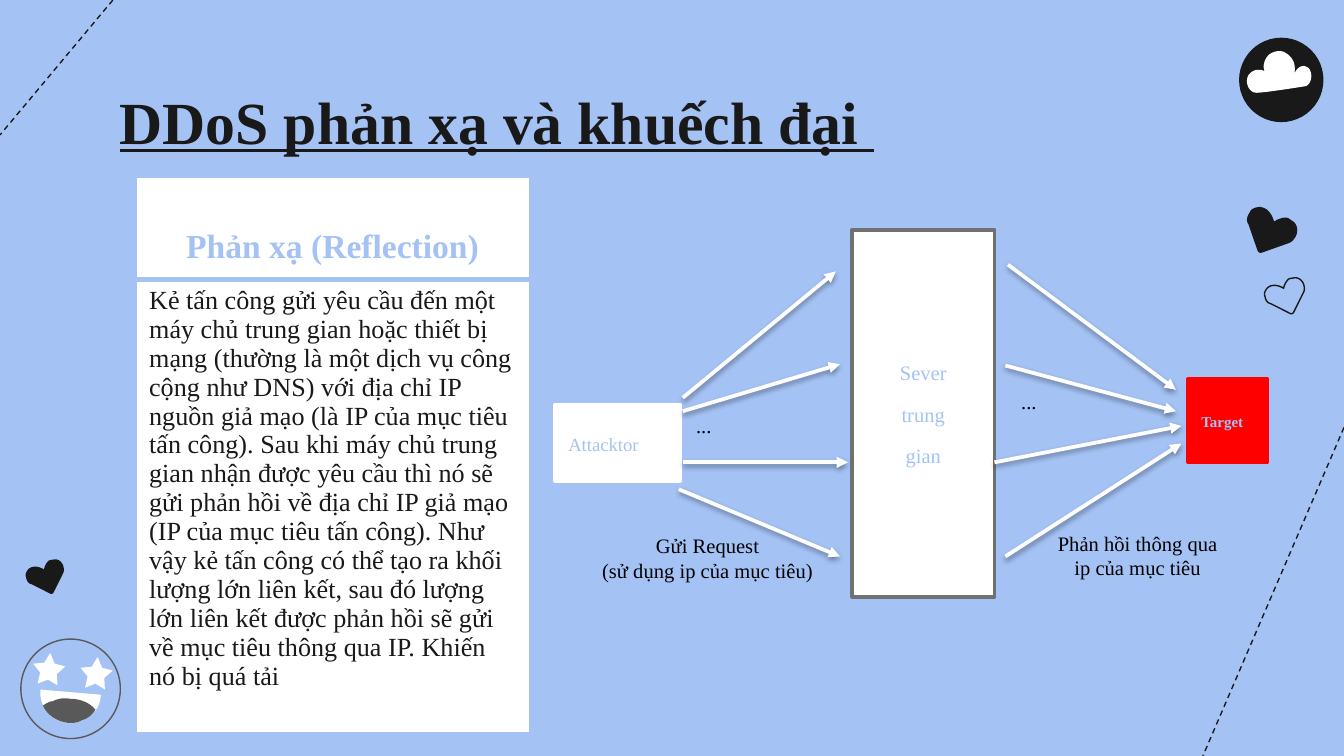
"""Builds a slide on reflection and amplification DDoS attacks."""
from lxml.etree import SubElement
from pptx import Presentation
from pptx.dml.color import RGBColor
from pptx.enum.dml import MSO_LINE
from pptx.enum.shapes import MSO_CONNECTOR, MSO_SHAPE
from pptx.enum.text import MSO_ANCHOR, MSO_AUTO_SIZE, PP_ALIGN
from pptx.oxml import parse_xml
from pptx.oxml.ns import nsdecls, qn
from pptx.util import Pt

BLUE = RGBColor(0xA4, 0xC2, 0xF4)
INK = RGBColor(0x19, 0x19, 0x19)
WHITE = RGBColor(0xFF, 0xFF, 0xFF)
BLACK = RGBColor(0, 0, 0)
RED = RGBColor(0xFF, 0, 0)
GRAY = RGBColor(0x70, 0x70, 0x70)
DARK_GRAY = RGBColor(0x59, 0x59, 0x59)
FONT = "Times New Roman"
STEPS = 8

CLOUD = [
    (684.7, 27.4), (683.3, 27.4, 681.8, 28.1, 680.4, 28.8),
    (677.5, 31, 676.1, 35.3, 677.5, 38.2), (676.1, 37.4, 675.4, 37.4, 673.9, 37.4),
    (671.8, 37.4, 668.9, 38.9, 668.2, 41.8), (667.4, 44.6, 668.9, 49.7, 673.2, 49.7),
    (677.5, 49.7, 699.8, 46.1, 699.8, 46.1), (702.7, 44.6, 703.4, 39.6, 701.3, 36.7),
    (700.6, 36, 699.1, 35.3, 698.4, 35.3), (696.2, 35.3, 694.1, 37.4, 693.4, 39.6),
    (694.8, 33.1, 691.2, 29.5, 688.3, 28.1), (687.6, 27.4, 686.2, 27.4, 684.7, 27.4),
]
HEART = [
    (675.4, 110.9), (681.1, 111.6, 682.6, 118.8, 682.6, 118.8),
    (682.6, 118.8, 685.4, 116.6, 689, 116.6), (689.8, 116.6, 691.2, 117.4, 691.9, 118.1),
    (694.8, 119.5, 695.5, 122.4, 694.8, 125.3), (694.1, 127.4, 692.6, 129.6, 690.5, 130.3),
    (676.1, 135.4), (675.4, 135.6, 674.6, 135.6, 673.9, 134.6), (668.9, 120.2),
    (667.4, 118.1, 668.2, 115.9, 669.6, 113.8), (670.3, 111.6, 673.2, 110.9, 675.4, 110.9),
]
MOUTH = [
    (21.6, 369.4), (54, 372.2), (54, 378.7, 49.7, 383.8, 43.9, 385.9),
    (41.8, 387.4, 38.9, 387.4, 36.7, 387.4), (27.4, 386.6, 20.9, 378.7, 21.6, 369.4),
]
TONGUE = [
    (28.1, 375.8), (31, 374.4, 33.8, 373.7, 37.4, 374.4),
    (43.2, 374.4, 48.2, 376.6, 51.1, 380.2), (49.7, 383, 46.8, 385.2, 43.9, 385.9),
    (41.8, 387.4, 38.9, 387.4, 36.7, 387.4), (30.2, 386.6, 25.2, 383, 23, 378),
    (24.5, 377.3, 25.9, 375.8, 28.1, 375.8),
]


def draw_outline(segments):
    """Draws a closed outline of straight lines and cubic curves."""
    points = [segments[0]]
    for segment in segments[1:]:
        if len(segment) == 2:
            points.append(segment)
            continue
        x0, y0 = points[-1]
        x1, y1, x2, y2, x3, y3 = segment
        for step in range(1, STEPS + 1):
            t = step / STEPS
            a, b, c, d = (1 - t) ** 3, 3 * t * (1 - t) ** 2, 3 * t * t * (1 - t), t ** 3
            points.append((a * x0 + b * x1 + c * x2 + d * x3, a * y0 + b * y1 + c * y2 + d * y3))
    points = [(Pt(x), Pt(y)) for x, y in points]
    builder = shapes.build_freeform(*points[0])
    builder.add_line_segments(points[1:], close=True)
    return builder.convert_to_shape()


def write_text(frame, lines, size, color, align=PP_ALIGN.LEFT, bold=False, spacing=1.0, after=0):
    """Writes one paragraph per line with a shared format."""
    frame.text = "\n".join(lines)
    for paragraph in frame.paragraphs:
        paragraph.alignment = align
        paragraph.line_spacing = spacing
        paragraph.space_before = Pt(0)
        paragraph.space_after = Pt(after)
        font = paragraph.font
        font.name, font.size, font.bold = FONT, Pt(size), bold
        font.color.rgb = color


presentation = Presentation()
presentation.slide_width, presentation.slide_height = Pt(720), Pt(405)
slide = presentation.slides.add_slide(presentation.slide_layouts[5])
slide.background.fill.solid()
slide.background.fill.fore_color.rgb = BLUE
shapes = slide.shapes

title = shapes.title
title.left, title.top, title.width, title.height = Pt(56.9), Pt(35.3), Pt(635), Pt(45.4)
frame = title.text_frame
frame.auto_size = MSO_AUTO_SIZE.NONE
frame.vertical_anchor = MSO_ANCHOR.TOP
frame.margin_left, frame.margin_top = Pt(7.2), Pt(10)
write_text(frame, ["DDoS phản xạ và khuếch đại "], 32, INK, bold=True)
frame.paragraphs[0].font.underline = True

for ends in [(60.5, 0, 0, 72.3), (720, 229, 644.4, 405)]:
    dashed_line = shapes.add_connector(MSO_CONNECTOR.STRAIGHT, *map(Pt, ends))
    dashed_line.line.color.rgb = INK
    dashed_line.line.width = Pt(0.75)
    dashed_line.line.dash_style = MSO_LINE.DASH
    SubElement(dashed_line._element.spPr, qn("a:effectLst"))

painted = []
for preset, box, rotation, fill, outline, width in [
    (MSO_SHAPE.OVAL, (663.8, 20.2, 45.2, 45.2), 0, INK, None, 0),
    (MSO_SHAPE.OVAL, (11.2, 342.4, 53.3, 53.3), 0, BLUE, DARK_GRAY, 0.75),
    (MSO_SHAPE.STAR_5_POINT, (43, 352, 17.3, 17), 5, WHITE, None, 0),
    (MSO_SHAPE.STAR_5_POINT, (17.6, 349.8, 17.3, 17), 5, WHITE, None, 0),
]:
    shape = shapes.add_shape(preset, *map(Pt, box))
    shape.rotation = rotation
    if preset == MSO_SHAPE.STAR_5_POINT:
        shape.adjustments[0] = 0.26
    painted.append((shape, fill, outline, width))

for segments, fill in [(CLOUD, WHITE), (MOUTH, WHITE), (TONGUE, DARK_GRAY)]:
    painted.append((draw_outline(segments), fill, None, 0))

for center_x, center_y, scale, rotation, fill, outline in [
    (681.5, 123.2, 1, 0, INK, None),
    (689.5, 157.5, 0.78, -44, None, INK),
    (25.3, 308, 0.75, -44, INK, None),
]:
    heart = draw_outline(HEART)
    heart.width, heart.height = int(heart.width * scale), int(heart.height * scale)
    heart.left = Pt(center_x) - heart.width // 2
    heart.top = Pt(center_y) - heart.height // 2
    heart.rotation = rotation
    painted.append((heart, fill, outline, 0.75))

for lines, box, size, align, bold, fill, outline in [
    (["Attacktor"], (297.4, 216.7, 67, 41), 10, PP_ALIGN.LEFT, False, WHITE, WHITE),
    (["Sever", "trung", "gian"], (456.5, 123.1, 76.3, 196.6), 11, PP_ALIGN.CENTER, False, WHITE, GRAY),
    (["Target"], (636.5, 203, 42.5, 44.6), 8, PP_ALIGN.LEFT, True, RED, RED),
]:
    node = shapes.add_shape(MSO_SHAPE.RECTANGLE, *map(Pt, box))
    node.text_frame.vertical_anchor = MSO_ANCHOR.MIDDLE
    write_text(node.text_frame, lines, size, BLUE, align, bold, 1.08, 8)
    painted.append((node, fill, outline, 2))

for shape, fill, outline, width in painted:
    shape.shadow.inherit = False
    if fill is None:
        shape.fill.background()
    else:
        shape.fill.solid()
        shape.fill.fore_color.rgb = fill
    if outline is None:
        shape.line.fill.background()
    else:
        shape.line.color.rgb = outline
        shape.line.width = Pt(width)

for ends in [
    (365.8, 213.1, 447.8, 145.4), (365.8, 220.3, 450, 195.1),
    (363.6, 262.1, 450, 298.1), (365.8, 247.7, 454.3, 247.7),
    (540, 141.8, 630, 208.8), (538.6, 195.8, 630, 220.3),
    (532.8, 247.7, 632.9, 228.2), (538.6, 298.1, 632.9, 237.6),
]:
    arrow = shapes.add_connector(MSO_CONNECTOR.STRAIGHT, *map(Pt, ends))
    arrow.line.color.rgb = WHITE
    arrow.line.width = Pt(2)
    SubElement(arrow.line._get_or_add_ln(), qn("a:tailEnd"), type="triangle")
    arrow._element.spPr.append(parse_xml(
        f'<a:effectLst {nsdecls("a")}><a:outerShdw blurRad="{Pt(3.1)}" dist="{Pt(1.6)}" '
        'dir="5400000" rotWithShape="0"><a:srgbClr val="000000"><a:alpha val="38000"/>'
        '</a:srgbClr></a:outerShdw></a:effectLst>'))

for lines, box, align, spacing, after in [
    (["Gửi Request", "(sử dụng ip của mục tiêu)"], (311, 282.2, 136.1, 33.8), PP_ALIGN.CENTER, 1, 0),
    (["Phản hồi thông qua", "ip của mục tiêu"], (541.4, 280.8, 136.1, 33.8), PP_ALIGN.CENTER, 1, 0),
    (["..."], (365.8, 216.7, 32.4, 35.3), PP_ALIGN.LEFT, 1.08, 8),
    (["..."], (540, 203.8, 32.4, 35.3), PP_ALIGN.LEFT, 1.08, 8),
]:
    label = shapes.add_textbox(*map(Pt, box))
    label.text_frame.word_wrap = True
    write_text(label.text_frame, lines, 11, BLACK, align, False, spacing, after)

table = shapes.add_table(2, 1, Pt(72.7), Pt(95), Pt(211), Pt(297.3)).table
table.first_row = table.horz_banding = False
table.rows[0].height, table.rows[1].height = Pt(54.7), Pt(242.6)
header, body = table.cell(0, 0), table.cell(1, 0)
write_text(header.text_frame, ["Phản xạ (Reflection)"], 18, BLUE, PP_ALIGN.CENTER, True, 2.2)
write_text(body.text_frame, [
    "Kẻ tấn công gửi yêu cầu đến một máy chủ trung gian hoặc thiết bị mạng (thường là một dịch vụ "
    "công cộng như DNS) với địa chỉ IP nguồn giả mạo (là IP của mục tiêu tấn công). Sau khi máy chủ "
    "trung gian nhận được yêu cầu thì nó sẽ gửi phản hồi về địa chỉ IP giả mạo (IP của mục tiêu tấn "
    "công). Như vậy kẻ tấn công có thể tạo ra khối lượng lớn liên kết, sau đó lượng lớn liên kết "
    "được phản hồi sẽ gửi về mục tiêu thông qua IP. Khiến nó bị quá tải"], 14, INK)
for cell, top_width, bottom_width in [(header, 1, 3), (body, 3, 1)]:
    properties = cell._tc.get_or_add_tcPr()
    for side, width in [("L", 1), ("R", 1), ("T", top_width), ("B", bottom_width)]:
        border = SubElement(properties, qn(f"a:ln{side}"), w=str(Pt(width)))
        SubElement(SubElement(border, qn("a:solidFill")), qn("a:srgbClr"), val=str(BLUE))
    cell.fill.solid()
    cell.fill.fore_color.rgb = WHITE

presentation.save("out.pptx")
